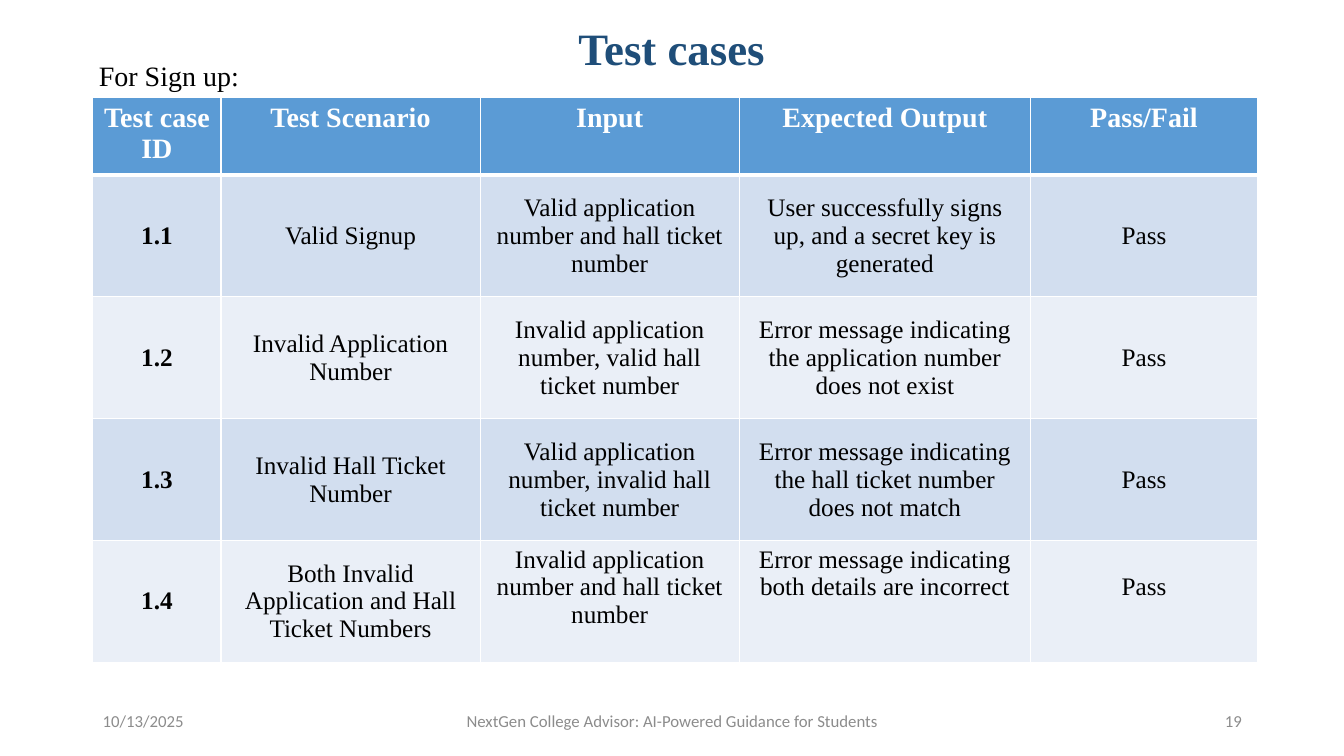
from lxml.etree import SubElement
from pptx import Presentation
from pptx.dml.color import RGBColor
from pptx.enum.text import MSO_ANCHOR as Anchor, PP_ALIGN as Align
from pptx.oxml.ns import qn
from pptx.util import Cm, Pt

NAVY = RGBColor(0x1F, 0x4E, 0x79)
BLUE = RGBColor(0x5B, 0x9B, 0xD5)
BAND_DARK = RGBColor(0xD2, 0xDE, 0xEF)
BAND_LIGHT = RGBColor(0xEA, 0xEF, 0xF7)
GRAY = RGBColor(0x8C, 0x8C, 0x8C)
BLACK = RGBColor(0, 0, 0)
WHITE = RGBColor(0xFF, 0xFF, 0xFF)
SERIF = "Times New Roman"
SANS = "Calibri"

COLUMN_WIDTHS = [3.23, 6.53, 6.53, 7.34, 5.72]
HEADER_HEIGHT, ROW_HEIGHT = 1.85, 3.07
TEST_CASES = [
    ["Test case ID", "Test Scenario", "Input", "Expected Output", "Pass/Fail"],
    ["1.1", "Valid Signup", "Valid application number and hall ticket number",
     "User successfully signs up, and a secret key is generated", "Pass"],
    ["1.2", "Invalid Application Number",
     "Invalid application number, valid hall ticket number",
     "Error message indicating the application number does not exist", "Pass"],
    ["1.3", "Invalid Hall Ticket Number",
     "Valid application number, invalid hall ticket number",
     "Error message indicating the hall ticket number does not match", "Pass"],
    ["1.4", "Both Invalid Application and Hall Ticket Numbers",
     "Invalid application number and hall ticket number",
     "Error message indicating both details are incorrect", "Pass"],
]


def write(text_frame, text, size, color, font=SERIF, align=Align.LEFT, bold=False):
    paragraph = text_frame.paragraphs[0]
    paragraph.alignment = align
    run = paragraph.add_run()
    run.text = text
    run.font.name = font
    run.font.size = Pt(size)
    run.font.bold = bold
    run.font.color.rgb = color
    return paragraph


def add_text(slide, box, text, size, color, anchor=Anchor.TOP, **style):
    shape = slide.shapes.add_textbox(*map(Cm, box))
    shape.text_frame.word_wrap = True
    shape.text_frame.vertical_anchor = anchor
    write(shape.text_frame, text, size, color, **style)


def set_borders(cell, bottom_width):
    properties = cell._tc.get_or_add_tcPr()
    for side, width in (("L", 1), ("R", 1), ("T", 1), ("B", bottom_width)):
        line = SubElement(properties, qn(f"a:ln{side}"), w=str(Pt(width)))
        fill = SubElement(line, qn("a:solidFill"))
        SubElement(fill, qn("a:srgbClr"), val=str(WHITE))


def add_title(slide, box):
    title = slide.shapes.title
    title.left, title.top, title.width, title.height = map(Cm, box)
    title.text_frame.vertical_anchor = Anchor.MIDDLE
    paragraph = write(title.text_frame, "Test cases", 32, NAVY,
                      align=Align.CENTER, bold=True)
    paragraph.line_spacing = 0.9


def add_test_table(slide, box):
    frame = slide.shapes.add_table(len(TEST_CASES), len(COLUMN_WIDTHS), *map(Cm, box))
    table = frame.table
    for column, width in zip(table.columns, COLUMN_WIDTHS):
        column.width = Cm(width)
    last = len(TEST_CASES) - 1
    for row_index, values in enumerate(TEST_CASES):
        header = row_index == 0
        table.rows[row_index].height = Cm(HEADER_HEIGHT if header else ROW_HEIGHT)
        band = BAND_DARK if row_index % 2 else BAND_LIGHT
        for column_index, text in enumerate(values):
            cell = table.cell(row_index, column_index)
            if header:
                set_borders(cell, 3)
            else:
                # The header's thick rule is shared with the first body row
                set_borders(cell, 1)
                if row_index == 1:
                    cell._tc.tcPr.find(qn("a:lnT")).set("w", str(Pt(3)))
            cell.fill.solid()
            cell.fill.fore_color.rgb = BLUE if header else band
            top_aligned = header or (row_index == last and column_index >= 2)
            cell.vertical_anchor = Anchor.TOP if top_aligned else Anchor.MIDDLE
            write(cell.text_frame, text, 20 if header else 18,
                  WHITE if header else BLACK, align=Align.CENTER,
                  bold=header or column_index == 0)
    # The last result sits one line lower than its neighbours
    table.cell(last, len(COLUMN_WIDTHS) - 1).margin_top = Cm(0.83)


def add_footer(slide, box):
    left, top, width, height = box
    side, middle = 7.62, 11.43
    parts = [
        (left, side, "10/13/2025", Align.LEFT),
        (left + (width - middle) / 2, middle,
         "NextGen College Advisor: AI-Powered Guidance for Students", Align.CENTER),
        (left + width - side, side, "19", Align.RIGHT),
    ]
    for part_left, part_width, text, align in parts:
        add_text(slide, (part_left, top, part_width, height), text, 12, GRAY,
                 Anchor.MIDDLE, font=SANS, align=align)


def main():
    presentation = Presentation()
    presentation.slide_width = Cm(33.87)
    presentation.slide_height = Cm(19.05)
    slide = presentation.slides.add_slide(presentation.slide_layouts[5])
    add_title(slide, (13.28, 0.28, 7.29, 2.03))
    add_footer(slide, (2.34, 17.65, 29.21, 1.02))
    add_test_table(slide, (2.34, 2.46, sum(COLUMN_WIDTHS), HEADER_HEIGHT + 4 * ROW_HEIGHT))
    add_text(slide, (2.24, 1.35, 7.29, 1.12), "For Sign up:", 20, BLACK)
    presentation.save("out.pptx")


if __name__ == "__main__":
    main()
